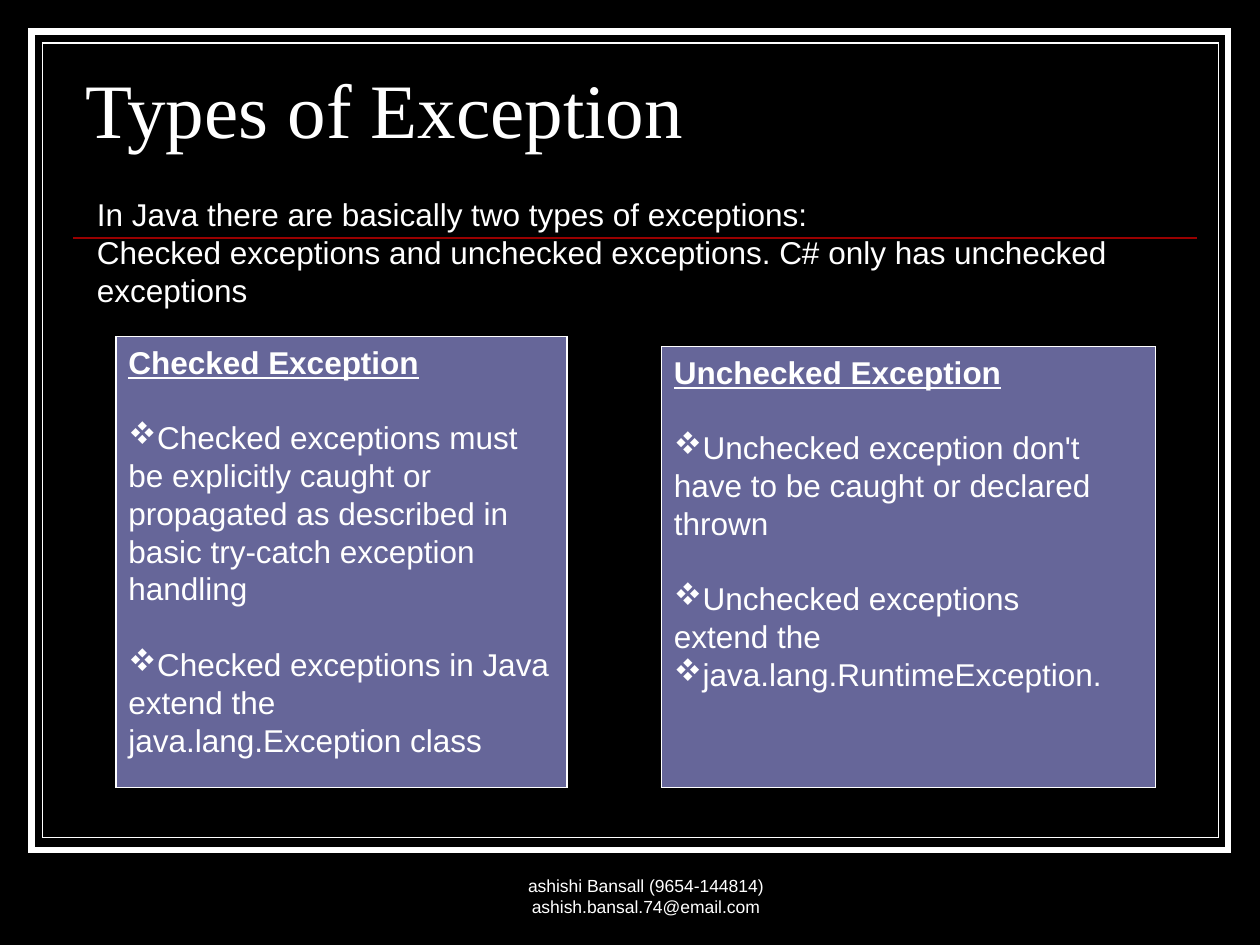
from lxml.etree import SubElement
from pptx import Presentation
from pptx.dml.color import RGBColor
from pptx.enum.shapes import MSO_CONNECTOR, MSO_SHAPE
from pptx.enum.text import MSO_ANCHOR, PP_ALIGN
from pptx.oxml.ns import qn
from pptx.util import Inches, Pt

HUES = {"back": "000000", "text": "FFFFFF", "rule": "990000", "card": "666699"}


class Deck:
    def __init__(self):
        self.show = Presentation()
        self.show.slide_width, self.show.slide_height = Inches(10), Inches(7.5)
        self.slide = self.show.slides.add_slide(self.show.slide_layouts[5])
        fill = self.slide.background.fill
        fill.solid()
        fill.fore_color.rgb = self.hue("back")

    def hue(self, name):
        return RGBColor.from_string(HUES[name])

    def style(self, para, size, face="Arial", align=PP_ALIGN.LEFT):
        para.alignment = align
        for run in para.runs:
            run.font.size, run.font.name = Pt(size), face
            run.font.color.rgb = self.hue("text")

    def title(self, text, box):
        shape = self.slide.shapes.title
        self.slide.shapes._spTree.append(shape._element)
        shape.left, shape.top, shape.width, shape.height = map(Inches, box)
        frame = shape.text_frame
        frame.text = text
        frame.vertical_anchor = MSO_ANCHOR.BOTTOM
        frame.paragraphs[0].line_spacing = 0.8
        self.style(frame.paragraphs[0], 44, "Times New Roman")

    def rect(self, box, fill, width):
        shape = self.slide.shapes.add_shape(MSO_SHAPE.RECTANGLE, *map(Inches, box))
        shape.shadow.inherit = False
        shape.fill.solid()
        shape.fill.fore_color.rgb = self.hue(fill)
        shape.line.color.rgb = self.hue("text")
        shape.line.width = Pt(width)
        edge = shape._element.spPr.find(qn("a:ln"))
        SubElement(edge, qn("a:miter")).set("lim", "800000")
        return shape

    def rule(self, left, right, top):
        line = self.slide.shapes.add_connector(
            MSO_CONNECTOR.STRAIGHT, *map(Inches, (left, top, right, top)))
        line.line.color.rgb = self.hue("rule")
        line.line.width = Pt(1.25)
        SubElement(line._element.spPr, qn("a:effectLst"))

    def text(self, text, box, size, align=PP_ALIGN.LEFT, anchor=MSO_ANCHOR.TOP):
        frame = self.slide.shapes.add_textbox(*map(Inches, box)).text_frame
        frame.word_wrap = True
        frame.vertical_anchor = anchor
        frame.text = text
        for para in frame.paragraphs:
            self.style(para, size, align=align)

    def card(self, box, head, items):
        frame = self.rect(box, "card", 0.75).text_frame
        frame.word_wrap = True
        frame.vertical_anchor = MSO_ANCHOR.TOP
        frame.text = head
        self.style(frame.paragraphs[0], 18)
        font = frame.paragraphs[0].runs[0].font
        font.bold = font.underline = True
        for item, gap in items:
            para = frame.add_paragraph()
            para.text = item
            para.space_before = Pt(gap)
            self.style(para, 18)
            props = para._p.get_or_add_pPr()
            face = SubElement(props, qn("a:buFont"))
            face.set("typeface", "Wingdings")
            face.set("charset", "2")
            SubElement(props, qn("a:buChar")).set("char", "v")


GAP = 21.6
deck = Deck()
deck.rect((0.25, 0.25, 9.5, 6.5), "back", 3.5)
deck.rect((0.34, 0.34, 9.33, 6.31), "back", 0.75)
deck.rule(0.58, 9.5, 1.89)
deck.title("Types of Exception", (0.58, 0.42, 8.92, 0.85))
deck.text("ashishi Bansall (9654-144814) ashish.bansal.74@email.com",
          (3.54, 6.83, 3.17, 0.5), 10, PP_ALIGN.CENTER, MSO_ANCHOR.BOTTOM)
deck.card((0.92, 2.67, 3.58, 3.58), "Checked Exception", [
    ("Checked exceptions must be explicitly caught or propagated as described "
     "in\u00a0 basic try-catch exception handling", GAP),
    ("Checked exceptions in Java extend the java.lang.Exception class", GAP)])
deck.card((5.25, 2.75, 3.92, 3.5), "Unchecked Exception", [
    ("Unchecked exception don't have to be caught or declared thrown", GAP),
    ("Unchecked exceptions \vextend the", GAP),
    ("java.lang.RuntimeException.", 0)])
deck.text("In Java there are basically two types of exceptions:\n"
          "Checked exceptions and unchecked exceptions. "
          "C# only has unchecked exceptions", (0.67, 1.5, 8.75, 1.01), 18)
deck.show.save("out.pptx")
